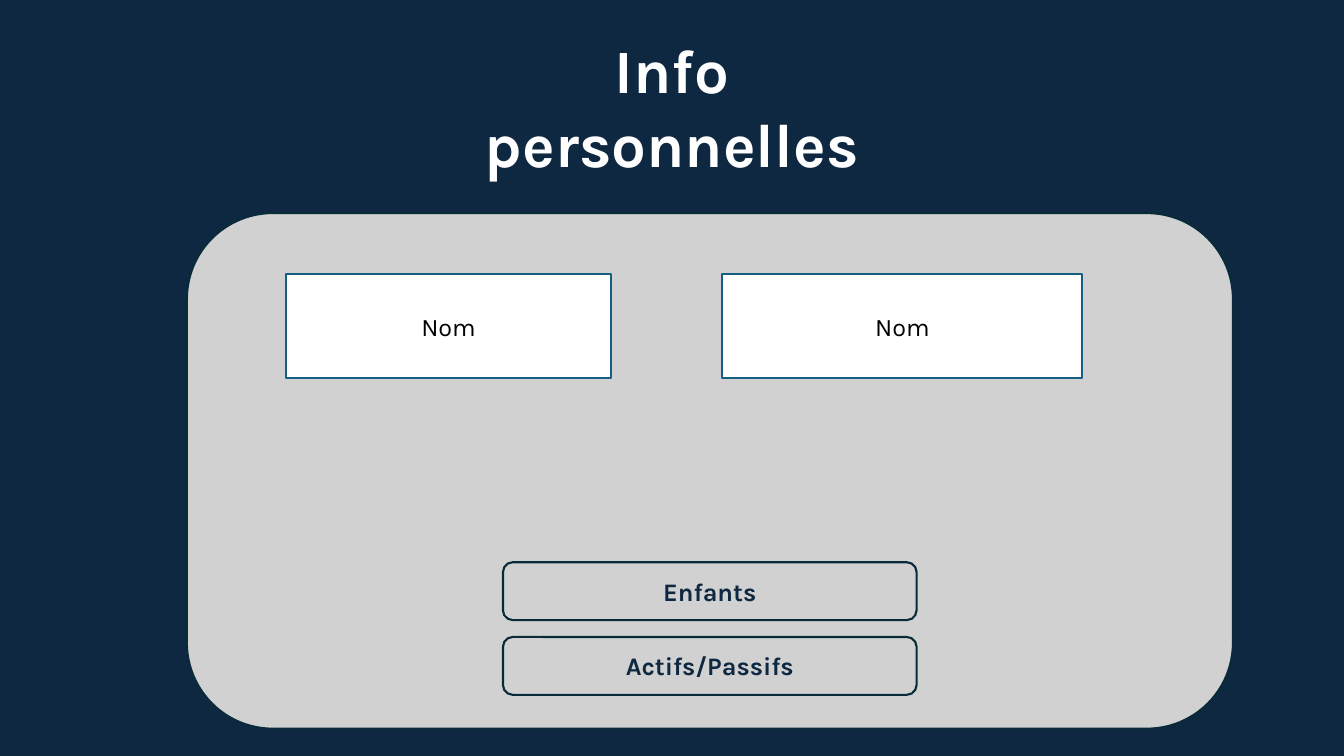
from dataclasses import dataclass

from pptx import Presentation
from pptx.dml.color import RGBColor
from pptx.enum.shapes import MSO_SHAPE
from pptx.enum.text import MSO_ANCHOR, MSO_AUTO_SIZE, PP_ALIGN
from pptx.util import Pt


@dataclass(frozen=True)
class Theme:
    font: str = "Karla"
    navy: str = "0E2841"
    outline: str = "092A39"
    panel: str = "D1D1D1"
    field_line: str = "156082"
    white: str = "FFFFFF"
    black: str = "000000"
    title_size: int = 44
    label_size: int = 18
    line_width: float = 1.5


THEME = Theme()
SLIDE_WIDTH, SLIDE_HEIGHT = 960, 540


def add_box(slide, kind, bounds, fill, line):
    shape = slide.shapes.add_shape(kind, *map(Pt, bounds))
    shape.shadow.inherit = False
    shape.fill.solid()
    shape.fill.fore_color.rgb = RGBColor.from_string(fill)
    shape.line.color.rgb = RGBColor.from_string(line)
    shape.line.width = Pt(THEME.line_width)
    return shape


def write_line(paragraph, text, size, color, bold):
    paragraph.alignment = PP_ALIGN.CENTER
    paragraph.line_spacing = 1.0
    paragraph.space_before = Pt(0)
    run = paragraph.add_run()
    run.text = text
    run.font.name = THEME.font
    run.font.size = Pt(size)
    run.font.bold = bold
    run.font.color.rgb = RGBColor.from_string(color)


def add_label(shape, text, color, bold=False):
    frame = shape.text_frame
    frame.vertical_anchor = MSO_ANCHOR.MIDDLE
    write_line(frame.paragraphs[0], text, THEME.label_size, color, bold)


def add_field(slide, left, width, text):
    bounds = (left, 195.7, width, 74.3)
    field = add_box(slide, MSO_SHAPE.RECTANGLE, bounds, THEME.white, THEME.field_line)
    add_label(field, text, THEME.black)


def add_button(slide, top, text):
    bounds = (359.3, top, 295.4, 41.3)
    button = add_box(slide, MSO_SHAPE.ROUNDED_RECTANGLE, bounds, THEME.panel, THEME.outline)
    add_label(button, text, THEME.navy, bold=True)


def place_title(slide, lines, below):
    """Fill the title placeholder and raise it just above the given shape."""
    title = slide.shapes.title
    below.element.addnext(title.element)
    title.left, title.top, title.width, title.height = map(Pt, (329.5, 19.4, 301, 113.8))
    frame = title.text_frame
    frame.word_wrap = True
    frame.auto_size = MSO_AUTO_SIZE.NONE
    frame.vertical_anchor = MSO_ANCHOR.TOP
    for index, text in enumerate(lines):
        paragraph = frame.add_paragraph() if index else frame.paragraphs[0]
        write_line(paragraph, text, THEME.title_size, THEME.white, True)


def main():
    presentation = Presentation()
    presentation.slide_width, presentation.slide_height = Pt(SLIDE_WIDTH), Pt(SLIDE_HEIGHT)
    slide = presentation.slides.add_slide(presentation.slide_layouts[5])

    backdrop = (0, 0, SLIDE_WIDTH, SLIDE_HEIGHT)
    add_box(slide, MSO_SHAPE.RECTANGLE, backdrop, THEME.navy, THEME.outline)
    panel = add_box(slide, MSO_SHAPE.ROUNDED_RECTANGLE, (133.5, 152.2, 747.2, 368.3),
                    THEME.panel, THEME.outline)
    place_title(slide, ("Info", "personnelles"), below=panel)

    for left, width in ((204.1, 232.6), (515.9, 257.3)):
        add_field(slide, left, width, "Nom")
    for row, text in enumerate(("Enfants", "Actifs/Passifs")):
        add_button(slide, 401.6 + row * 53.4, text)

    presentation.save("out.pptx")


if __name__ == "__main__":
    main()
